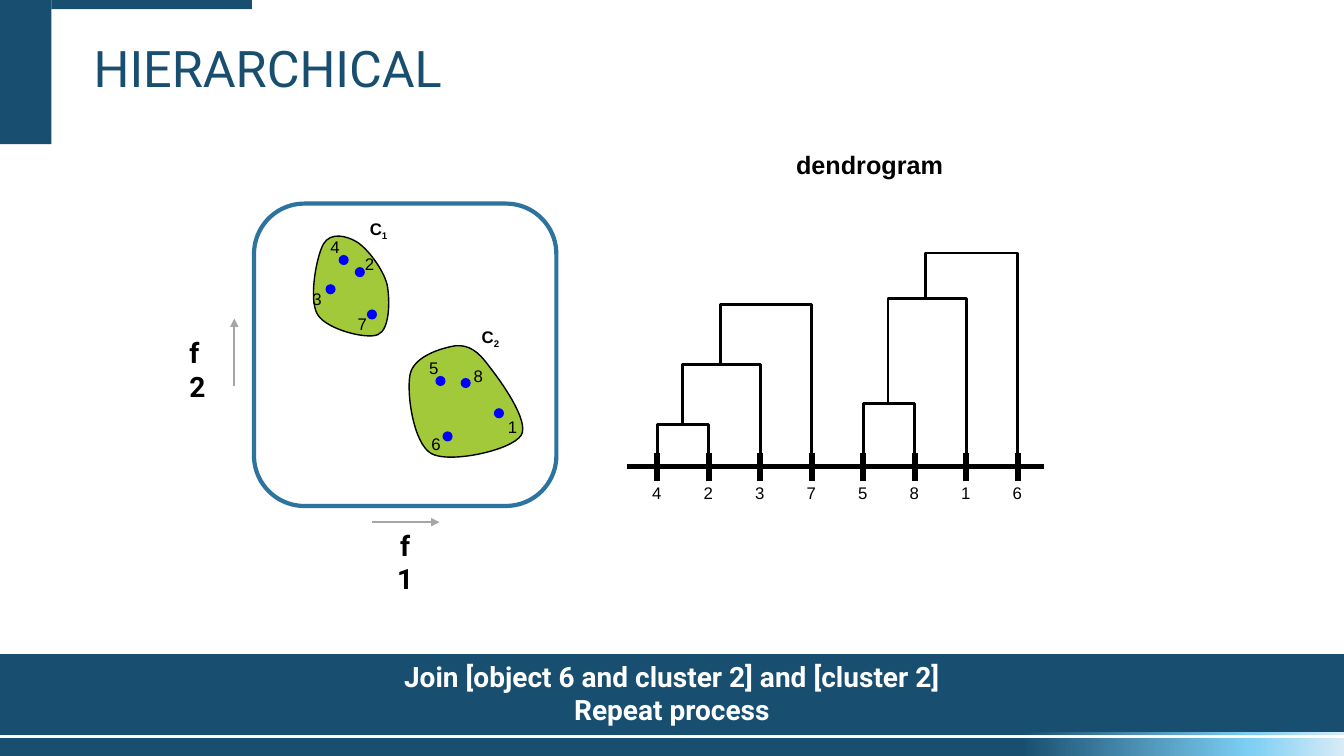
import copy
from dataclasses import dataclass

import pptx
import pptx.dml.color
import pptx.enum.shapes
import pptx.enum.text
import pptx.oxml.ns
import pptx.oxml.xmlchemy
import pptx.util

COLUMNS, ROWS = 133.33, 75
NAVY, SKY, ICE = "184F70", "7DCFF4", "D8EBF7"
BLACK, WHITE, GREY = "000000", "FFFFFF", "A6A6A6"
GREEN, BLUE, FRAME = "A1C93A", "0000FF", "2C739E"
AXIS_ROW, FIRST_LEAF, LEAF_STEP = 46.3, 65.2, 5.11
LEAVES = "42375816"
SHAPE = pptx.enum.shapes.MSO_SHAPE
ALIGN = pptx.enum.text.PP_ALIGN
Point = tuple[float, float]


@dataclass(frozen=True)
class Box:
    col: float
    row: float
    cols: float
    rows: float


@dataclass(frozen=True)
class Item:
    name: str
    dot: Point
    label: Point


@dataclass(frozen=True)
class Cluster:
    number: str
    caption: Point
    curve: list[Point]
    items: list[Item]


@dataclass(frozen=True)
class Join:
    stem: float
    height: float


@dataclass(frozen=True)
class Tree:
    first: int
    joins: list[Join]


CLUSTERS = [
    Cluster("2", (46.8, 31.9), [
        (45.2, 34.3),
        (43.9, 34.5), (41.1, 35.3), (40.7, 37.1),
        (40.3, 38.9), (41, 44), (42.8, 45),
        (44.6, 46), (50.7, 44.7), (51.7, 43.2),
        (52.6, 41.8), (49.6, 37.7), (48.5, 36.3),
        (47.4, 34.8), (46.5, 34.2), (45.2, 34.3),
    ], [
        Item("5", (43.2, 37.3), (41.6, 35)),
        Item("8", (45.7, 37.5), (46, 35.8)),
        Item("1", (49, 40.5), (49.4, 40.9)),
        Item("6", (43.9, 42.8), (41.8, 42.5)),
    ]),
    Cluster("1", (35.7, 21.2), [
        (35.4, 24),
        (34.4, 23.4), (32.8, 23), (32.1, 24.2),
        (31.4, 25.4), (30.6, 29.7), (31.5, 31.2),
        (32.4, 32.7), (36.4, 33.7), (37.5, 33.2),
        (38.7, 32.7), (38.7, 29.7), (38.4, 28.2),
        (38, 26.7), (36.5, 24.7), (35.4, 24),
    ], [
        Item("4", (33.6, 25.3), (31.8, 23)),
        Item("2", (35.2, 26.5), (35.2, 24.7)),
        Item("3", (32.3, 28.2), (30, 28.2)),
        Item("7", (36.4, 30.7), (34.5, 30.6)),
    ]),
]
TREES = [
    Tree(0, [Join(65.2, 42.1), Join(67.7, 36.2), Join(71.5, 30.2)]),
    Tree(4, [Join(85.7, 40), Join(88.1, 29.6), Join(91.8, 25.1)]),
]

deck = pptx.Presentation()
deck.slide_width = pptx.util.Inches(COLUMNS / 10)
deck.slide_height = pptx.util.Inches(ROWS / 10)
slide = deck.slides.add_slide(deck.slide_layouts[6])


def across(cols: float) -> int:
    return round(deck.slide_width * cols / COLUMNS)


def down(rows: float) -> int:
    return round(deck.slide_height * rows / ROWS)


def place(box: Box) -> tuple[int, int, int, int]:
    return across(box.col), down(box.row), across(box.cols), down(box.rows)


def color(code: str) -> pptx.dml.color.RGBColor:
    return pptx.dml.color.RGBColor.from_string(code)


def paint(shape, fill: str = "", line: str = "", weight: float = 1):
    shape.shadow.inherit = False
    if fill:
        shape.fill.solid()
        shape.fill.fore_color.rgb = color(fill)
    else:
        shape.fill.background()
    if line:
        shape.line.color.rgb = color(line)
        shape.line.width = pptx.util.Pt(weight)
    else:
        shape.line.fill.background()
    return shape


def block(box: Box, fill: str = "", line: str = "", weight: float = 1, kind=SHAPE.RECTANGLE):
    return paint(slide.shapes.add_shape(kind, *place(box)), fill, line, weight)


def outline(points: list[Point], closed: bool, fill: str, weight: float):
    spots = [(across(col), down(row)) for col, row in points]
    builder = slide.shapes.build_freeform(*spots[0], scale=1.0)
    builder.add_line_segments(spots[1:], close=closed)
    return paint(builder.convert_to_shape(), fill, BLACK, weight)


def bend(shape) -> None:
    segments = shape._element.findall(".//" + pptx.oxml.ns.qn("a:lnTo"))
    for index in range(0, len(segments), 3):
        curve = pptx.oxml.xmlchemy.OxmlElement("a:cubicBezTo")
        segments[index].addprevious(curve)
        for segment in segments[index:index + 3]:
            curve.append(segment[0])
            segment.getparent().remove(segment)


def stroke(start: Point, end: Point, line: str, weight: float, arrow: bool = False) -> None:
    connector = slide.shapes.add_connector(
        pptx.enum.shapes.MSO_CONNECTOR.STRAIGHT,
        across(start[0]), down(start[1]), across(end[0]), down(end[1]))
    connector.line.color.rgb = color(line)
    connector.line.width = pptx.util.Pt(weight)
    properties = connector._element.spPr
    if arrow:
        head = pptx.oxml.xmlchemy.OxmlElement("a:tailEnd")
        head.set("type", "triangle")
        properties.find(pptx.oxml.ns.qn("a:ln")).append(head)
    properties.append(pptx.oxml.xmlchemy.OxmlElement("a:effectLst"))


def style(frame, size: float, font: str, ink: str, bold: bool, align) -> None:
    for paragraph in frame.paragraphs:
        paragraph.alignment = align
        for run in paragraph.runs:
            run.font.size = pptx.util.Pt(size)
            run.font.name = font
            run.font.bold = bold
            run.font.color.rgb = color(ink)


def write(text: str, box: Box, size: float = 12, font: str = "Arial", ink: str = BLACK,
          bold: bool = False, align=ALIGN.LEFT, wrap: bool = False, subscript: str = ""):
    frame = slide.shapes.add_textbox(*place(box)).text_frame
    frame.word_wrap = wrap
    frame.text = text
    if subscript:
        index = frame.paragraphs[0].add_run()
        index.text = subscript
        index._r.get_or_add_rPr().set("baseline", "-25000")
    style(frame, size, font, ink, bold, align)
    return frame


def gradient_strip(box: Box) -> None:
    strip = block(box, NAVY)
    strip.fill.gradient()
    strip.fill.gradient_angle = 0
    stop_list = strip._element.spPr.find(".//" + pptx.oxml.ns.qn("a:gsLst"))
    stop_list.append(copy.deepcopy(stop_list[-1]))
    for stop, (share, shade) in zip(strip.fill.gradient_stops, [(0.76, NAVY), (0.93, SKY), (1, ICE)]):
        stop.position = share
        stop.color.rgb = color(shade)


def draw_cluster(cluster: Cluster) -> None:
    bend(outline(cluster.curve, True, GREEN, 1))
    for item in cluster.items:
        block(Box(*item.dot, 1, 1), BLUE, kind=SHAPE.OVAL)
        write(item.name, Box(*item.label, 2.9, 3))
    write("C", Box(*cluster.caption, 3.8, 3), bold=True, subscript=cluster.number)


def draw_dendrogram() -> None:
    leaf_cols = [FIRST_LEAF + LEAF_STEP * position for position in range(len(LEAVES))]
    stroke((62.2, AXIS_ROW), (103.6, AXIS_ROW), BLACK, 4)
    for leaf, col in zip(LEAVES, leaf_cols):
        stroke((col, AXIS_ROW - 1.4), (col, AXIS_ROW + 1.4), BLACK, 4)
        write(leaf, Box(col - 1.5, 47.45, 2.9, 3))
    for tree in TREES:
        row = AXIS_ROW
        for join, right in zip(tree.joins, leaf_cols[tree.first + 1:]):
            outline([(join.stem, row), (join.stem, join.height),
                     (right, join.height), (right, AXIS_ROW)], False, "", 2)
            row = join.height
    write("dendrogram", Box(78, 14.3, 16.6, 4), 18, bold=True)


def main() -> None:
    for strip in (Box(0, 73.2, COLUMNS, 1.8), Box(0, 72.4, COLUMNS, 0.5)):
        gradient_strip(strip)
    for corner in (Box(0, 0, 5.1, 14.3), Box(5.1, 0, 19.9, 0.9)):
        block(corner, NAVY)
    for cluster in CLUSTERS:
        draw_cluster(cluster)
    draw_dendrogram()
    block(Box(25.2, 20.2, 30, 30), line=FRAME, weight=3, kind=SHAPE.ROUNDED_RECTANGLE)
    stroke((36.9, 51.8), (43.6, 51.8), GREY, 1.5, arrow=True)
    stroke((23.25, 38.3), (23.25, 31.6), GREY, 1.5, arrow=True)
    write("f1", Box(38.3, 51.9, 3.8, 4.4), 20, "Roboto", bold=True, align=ALIGN.CENTER, wrap=True)
    write("f2", Box(17.8, 32.8, 4.4, 4.4), 20, "Roboto", bold=True, wrap=True)
    summary = block(Box(0, 64.9, COLUMNS, 7.7), NAVY).text_frame
    summary.text = "Join [object 6 and cluster 2] and [cluster 2]\nRepeat process"
    summary.vertical_anchor = pptx.enum.text.MSO_ANCHOR.MIDDLE
    style(summary, 20, "Roboto", WHITE, True, ALIGN.CENTER)
    title = write("HIERARCHICAL", Box(8.3, 3.9, 94.2, 6.5), 36, "Roboto", NAVY, wrap=True)
    title.paragraphs[0].line_spacing = 0.9
    deck.save("out.pptx")


if __name__ == "__main__":
    main()
